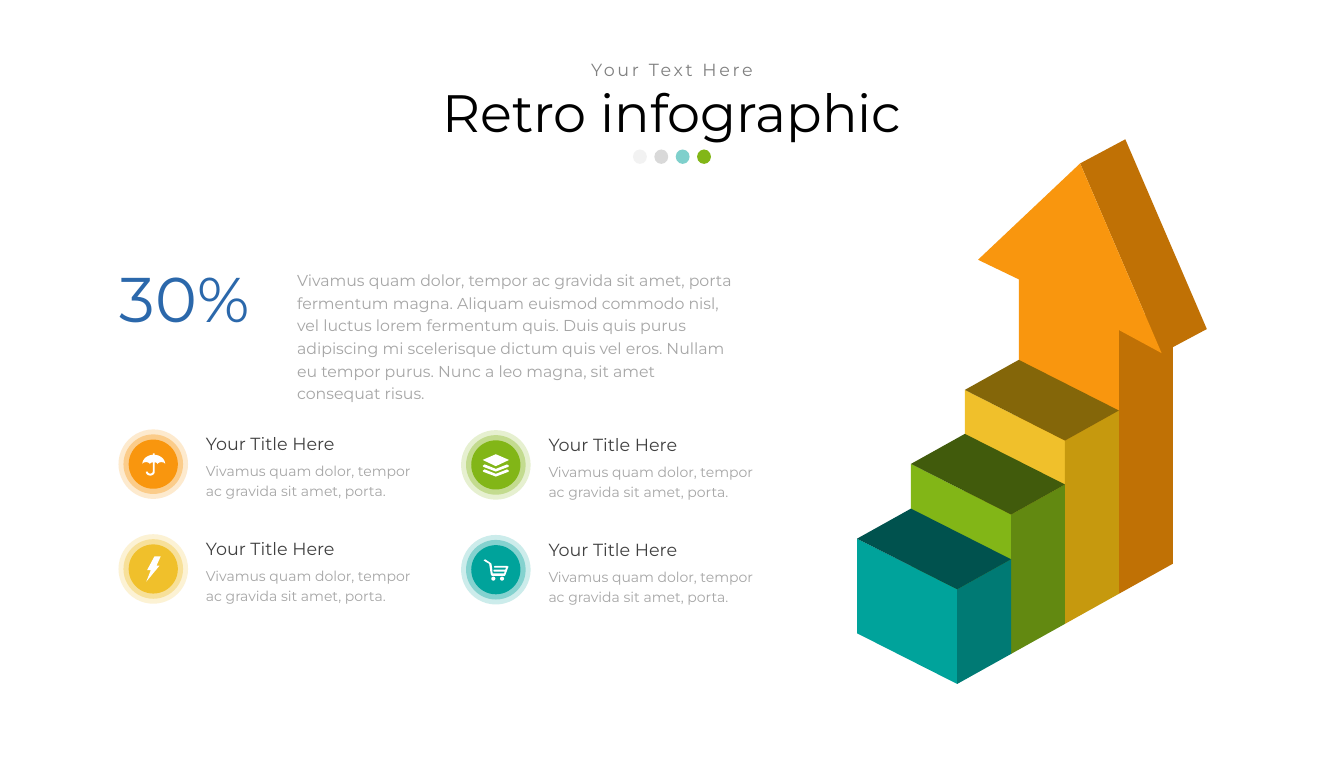
"""Build the "Retro infographic" slide: isometric steps with an arrow and four captions."""
from math import cos, pi, sin

from lxml import etree
from pptx import Presentation
from pptx import util as u
from pptx.dml.color import RGBColor
from pptx.enum import shapes, text
from pptx.oxml.ns import qn

FONT = "Montserrat"
WHITE = RGBColor(0xFF, 0xFF, 0xFF)
BLACK = RGBColor(0x00, 0x00, 0x00)
DARK = RGBColor(0x40, 0x40, 0x40)
MID = RGBColor(0x80, 0x80, 0x80)
PALE = RGBColor(0xA6, 0xA6, 0xA6)
BLUE = RGBColor(0x2B, 0x68, 0xAB)
SILVER = RGBColor(0xD9, 0xD9, 0xD9)
MIST = RGBColor(0xF2, 0xF2, 0xF2)
TEAL, TEAL_SIDE, TEAL_TOP = RGBColor(0x00, 0xA3, 0x9B), RGBColor(0x00, 0x7A, 0x74), RGBColor(0x00, 0x52, 0x4E)
GREEN, GREEN_SIDE, GREEN_TOP = RGBColor(0x82, 0xB6, 0x17), RGBColor(0x62, 0x89, 0x11), RGBColor(0x41, 0x5B, 0x0C)
GOLD, GOLD_SIDE, GOLD_TOP = RGBColor(0xF0, 0xC0, 0x2B), RGBColor(0xC6, 0x99, 0x0E), RGBColor(0x84, 0x66, 0x09)
ORANGE, ORANGE_SIDE = RGBColor(0xF9, 0x96, 0x0E), RGBColor(0xC0, 0x71, 0x05)

TITLE = "Retro infographic"
SUBTITLE = "Your Text Here"
FIGURE = "30%"
SUMMARY = (
    "Vivamus quam dolor, tempor ac gravida sit amet, porta fermentum magna. "
    "Aliquam euismod commodo nisl, vel luctus lorem fermentum quis. Duis quis purus "
    "adipiscing mi scelerisque dictum quis vel eros. Nullam eu tempor purus. "
    "Nunc a leo magna, sit amet consequat risus."
)
CAPTION = "Your Title Here"
DETAIL = "Vivamus quam dolor, tempor ac gravida sit amet, porta."
DOTS = [(MIST, 100), (SILVER, 98), (TEAL, 50), (GREEN, 100)]
RINGS = [(2.8, 20), (2.4, 35), (1.98, 100)]

STEPS = [
    (3.81, TEAL, TEAL_SIDE, TEAL_TOP),
    (5.61, GREEN, GREEN_SIDE, GREEN_TOP),
    (7.38, GOLD, GOLD_SIDE, GOLD_TOP),
]
ARROW_HEIGHT = 10.62
ARROW_LEFT, ARROW_TIP, ARROW_RIGHT = (39.37, 10.46), (43.48, 6.58), (46.76, 14.22)
ARROW_DEPTH = (1.82, -0.97)
STEP_ORIGIN = (34.5, 25.5)
ACROSS = (4.03, 2.04)
DEPTH = (2.17, -1.21)


def shift(point, *moves):
    return tuple(sum(values) for values in zip(point, *moves))


def arc(x, y, width, height, start, end, count=16):
    angles = [(start + (end - start) * i / count) * pi / 180 for i in range(count + 1)]
    return [(x + width * cos(a), y + height * sin(a)) for a in angles]


BOLT = [[(0.25, -0.13), (0.13, -0.13), (0.3, -0.51), (0.05, -0.51),
         (-0.25, 0.05), (-0.1, 0.05), (-0.28, 0.51)]]
CHEVRON = [(-0.45, -0.02), (0, 0.16), (0.45, -0.02), (0.53, 0.04), (0.5, 0.08),
           (0, 0.27), (-0.5, 0.08), (-0.53, 0.04)]
LAYERS = [[(-0.53, -0.2), (0, -0.43), (0.53, -0.2), (0, 0.05)],
          CHEVRON, [shift(point, (0, 0.2)) for point in CHEVRON]]
UMBRELLA = [
    arc(0.02, 0, 0.46, 0.38, 180, 360)
    + arc(0.33, 0, 0.15, 0.08, 0, -180)
    + arc(0.02, 0, 0.15, 0.08, 0, -75)
    + arc(-0.12, 0.3, 0.18, 0.16, 0, 180)
    + arc(-0.12, 0.3, 0.1, 0.08, 180, 0)
    + arc(0.02, 0, 0.15, 0.08, -105, -180)
    + arc(-0.29, 0, 0.15, 0.08, 0, -180),
    [(-0.02, -0.43), (0.06, -0.43), (0.06, -0.38), (-0.02, -0.38)],
]
CART = [
    [(0.46, -0.15), (-0.05, -0.15), (-0.08, -0.12), (-0.05, -0.08), (0.41, -0.08),
     (0.38, 0), (-0.08, 0), (-0.1, 0.04), (-0.08, 0.08), (0.36, 0.08), (0.33, 0.15),
     (-0.13, 0.15), (-0.15, -0.08), (-0.18, -0.25), (-0.43, -0.42), (-0.49, -0.38),
     (-0.43, -0.33), (-0.27, -0.24), (-0.2, 0.2), (-0.15, 0.25), (0.36, 0.25),
     (0.39, 0.2), (0.49, -0.08), (0.51, -0.12)],
    arc(-0.1, 0.36, 0.08, 0.08, 0, 360),
    arc(0.25, 0.36, 0.08, 0.08, 0, 360),
]
ICONS = [
    (6.17, 18.69, ORANGE, UMBRELLA),
    (19.96, 18.72, GREEN, LAYERS),
    (6.17, 22.91, GOLD, BOLT),
    (19.96, 22.94, TEAL, CART),
]


def paint(shape, color, alpha=100):
    shape.shadow.inherit = False
    shape.fill.solid()
    shape.fill.fore_color.rgb = color
    shape.line.fill.background()
    if alpha < 100:
        tint = shape.fill._xPr.find(qn("a:solidFill"))[0]
        etree.SubElement(tint, qn("a:alpha")).set("val", str(alpha * 1000))
    return shape


def add_outline(slide, contours, color):
    loops = [[(u.Cm(x), u.Cm(y)) for x, y in contour] for contour in contours]
    builder = slide.shapes.build_freeform(*loops[0][0], scale=1.0)
    for index, loop in enumerate(loops):
        if index:
            builder.move_to(*loop[0])
        builder.add_line_segments(loop[1:], close=True)
    return paint(builder.convert_to_shape(), color)


def add_ellipse(slide, x, y, width, height, color, alpha):
    oval = slide.shapes.add_shape(
        shapes.MSO_SHAPE.OVAL, u.Cm(x), u.Cm(y), u.Cm(width), u.Cm(height))
    return paint(oval, color, alpha)


def write(box, words, size, color, spacing=1.0, align=None, anchor=None, wrap=True):
    frame = box.text_frame
    frame.word_wrap = wrap
    frame.auto_size = text.MSO_AUTO_SIZE.NONE
    frame.vertical_anchor = anchor or text.MSO_ANCHOR.TOP
    para = frame.paragraphs[0]
    para.alignment = align or text.PP_ALIGN.LEFT
    para.line_spacing = spacing
    span = para.add_run()
    span.text = words
    span.font.name = FONT
    span.font.size = u.Pt(size)
    span.font.color.rgb = color
    return span


def add_text(slide, place, words, size, color, **style):
    box = slide.shapes.add_textbox(*map(u.Cm, place))
    return box, write(box, words, size, color, **style)


def step_faces(index, height):
    left = shift(STEP_ORIGIN, *[DEPTH] * index)
    right = shift(left, ACROSS)
    rise = (0, -height)
    front = [left, right, shift(right, rise), shift(left, rise)]
    side = [right, shift(right, DEPTH), shift(right, DEPTH, rise), shift(right, rise)]
    top = [front[3], front[2], side[2], shift(front[3], DEPTH)]
    return front, side, top


def add_steps(slide):
    front, side, _ = step_faces(len(STEPS), ARROW_HEIGHT)
    head_side = [ARROW_TIP, ARROW_RIGHT, shift(ARROW_RIGHT, ARROW_DEPTH), shift(ARROW_TIP, ARROW_DEPTH)]
    arrow = [front[0], front[1], front[2], ARROW_RIGHT, ARROW_TIP, ARROW_LEFT, front[3]]
    faces = [(side, ORANGE_SIDE), (head_side, ORANGE_SIDE), (arrow, ORANGE)]
    slide.shapes.add_group_shape([add_outline(slide, [face], color) for face, color in faces])
    for index, (height, *colors) in reversed(list(enumerate(STEPS))):
        faces = zip(step_faces(index, height), colors)
        slide.shapes.add_group_shape([add_outline(slide, [face], color) for face, color in faces])


def add_heading(slide):
    centred = {"spacing": 0.9, "align": text.PP_ALIGN.CENTER, "anchor": text.MSO_ANCHOR.MIDDLE}
    title = slide.shapes.title
    title.left, title.top, title.width, title.height = map(u.Cm, (2.59, 3.33, 48.92, 2.62))
    write(title, TITLE, 60, BLACK, **centred)
    _, span = add_text(slide, (19, 2.41, 16.1, 0.89), SUBTITLE, 20, MID, **centred)
    span.font._element.set("spc", "300")
    slide.shapes.add_group_shape([
        add_ellipse(slide, 25.48 + 0.86 * i, 6.02, 0.56, 0.58, color, alpha)
        for i, (color, alpha) in enumerate(DOTS)])


def add_captions(slide):
    for x, y, color, icon in ICONS:
        caption, _ = add_text(slide, (x + 1.87, y - 1.55, 9.47, 1.27), CAPTION, 20, DARK, spacing=1.2)
        detail, _ = add_text(slide, (x + 1.87, y - 0.32, 9.3, 1.9), DETAIL, 16, PALE, spacing=1.2)
        slide.shapes.add_group_shape([caption, detail])
        badge = [add_ellipse(slide, x - size / 2, y - size / 2, size, size, color, alpha)
                 for size, alpha in RINGS]
        contours = [[shift((x, y), point) for point in contour] for contour in icon]
        badge.append(add_outline(slide, contours, WHITE))
        slide.shapes.add_group_shape(badge)


def main():
    deck = Presentation()
    deck.slide_width, deck.slide_height = u.Cm(54.1), u.Cm(30.48)
    slide = deck.slides.add_slide(deck.slide_layouts[5])
    add_steps(slide)
    add_heading(slide)
    add_captions(slide)
    add_text(slide, (4.57, 10.34, 6.38, 3.33), FIGURE, 72, BLUE, wrap=False)
    add_text(slide, (11.71, 10.62, 18.39, 4.88), SUMMARY, 18, PALE, spacing=1.2)
    deck.save("out.pptx")


if __name__ == "__main__":
    main()
